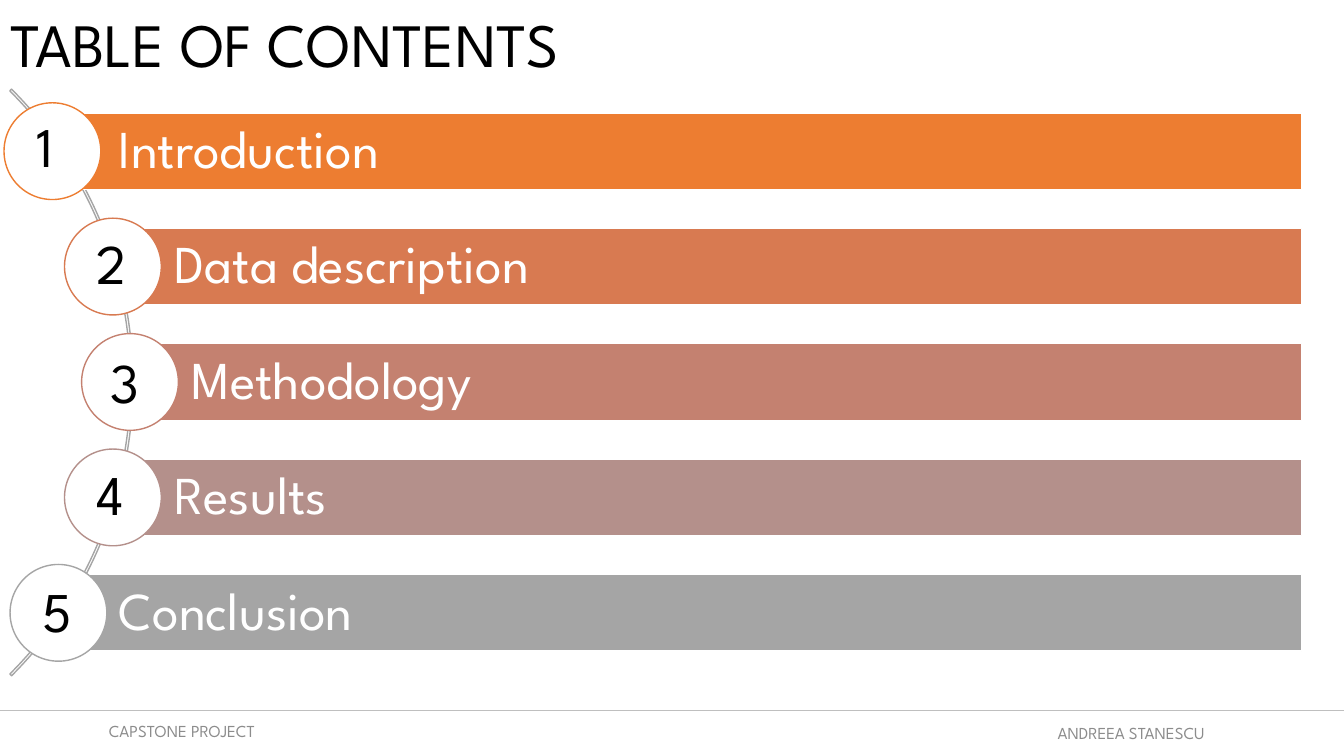
from lxml.etree import SubElement
from pptx import Presentation
from pptx.dml.color import RGBColor
from pptx.enum.shapes import MSO_CONNECTOR, MSO_SHAPE
from pptx.enum.text import MSO_ANCHOR, MSO_AUTO_SIZE, PP_ALIGN
from pptx.oxml.ns import qn
from pptx.util import Inches, Pt

FONT = "League Spartan"
COLORS = {"black": "000000", "white": "FFFFFF", "arc": "A5A5A5",
          "footer": "8C8C8C", "rule": "BFBFBF"}
TITLE = "TABLE OF CONTENTS"
# label, color, bar left, circle left, number box (left, top, width)
CHAPTERS = [
    ("Introduction", "ED7D31", 0.57, 0.04, (0.26, 1.06, 0.49)),
    ("Data description", "D87A51", 1.12, 0.64, (0.86, 2.22, 0.42)),
    ("Methodology", "C48170", 1.29, 0.81, (1.0, 3.4, 0.42)),
    ("Results", "B4908B", 1.12, 0.64, (0.86, 4.51, 0.42)),
    ("Conclusion", "A5A5A5", 0.57, 0.1, (0.32, 5.67, 0.42)),
]
FOOTERS = [("CAPSTONE PROJECT", (0.53, 7.05, 2.55, 0.4)),
           ("ANDREEA STANESCU", (9.44, 7.07, 3.56, 0.4))]
BAR_TOP, BAR_PITCH, BAR_HEIGHT, BAR_RIGHT = 1.12, 1.145, 0.76, 12.91
CIRCLE_SIZE = 0.96
NUMBER_HEIGHT = 0.77
FOOTER_RULE_TOP = 7.05


def inches(*lengths):
    return [Inches(length) for length in lengths]


def write(shape, text, size, color, align=PP_ALIGN.LEFT,
          anchor=MSO_ANCHOR.MIDDLE, line_spacing=None):
    frame = shape.text_frame
    frame.word_wrap = True
    frame.auto_size = MSO_AUTO_SIZE.NONE
    frame.vertical_anchor = anchor
    paragraph = frame.paragraphs[0]
    paragraph.alignment = align
    paragraph.line_spacing = line_spacing
    run = paragraph.add_run()
    run.text = text
    run.font.name = FONT
    run.font.size = Pt(size)
    run.font.color.rgb = RGBColor.from_string(color)


def add_outlined(slide, kind, box, line, fill=None):
    shape = slide.shapes.add_shape(kind, *inches(*box))
    shape.shadow.inherit = False
    if fill:
        shape.fill.solid()
        shape.fill.fore_color.rgb = RGBColor.from_string(fill)
    else:
        shape.fill.background()
    shape.line.color.rgb = RGBColor.from_string(line)
    shape.line.width = Pt(1)
    return shape


def add_chapter(slide, index, chapter):
    label, color, bar_left, circle_left, (left, top, width) = chapter
    bar_top = BAR_TOP + index * BAR_PITCH
    bar = add_outlined(slide, MSO_SHAPE.RECTANGLE,
                       (bar_left, bar_top, BAR_RIGHT - bar_left, BAR_HEIGHT),
                       COLORS["white"], color)
    frame = bar.text_frame
    frame.margin_left = Inches(0.61)
    frame.margin_top = frame.margin_right = frame.margin_bottom = Inches(0.11)
    write(bar, label, 38, COLORS["white"], line_spacing=0.9)

    circle_top = bar_top + (BAR_HEIGHT - CIRCLE_SIZE) / 2
    add_outlined(slide, MSO_SHAPE.OVAL,
                 (circle_left, circle_top, CIRCLE_SIZE, CIRCLE_SIZE),
                 color, COLORS["white"])
    number = slide.shapes.add_textbox(*inches(left, top, width, NUMBER_HEIGHT))
    write(number, str(index + 1), 40, COLORS["black"], anchor=MSO_ANCHOR.TOP)


def add_footer(slide):
    for text, box in FOOTERS:
        footer = slide.shapes.add_textbox(*inches(*box))
        write(footer, text, 12, COLORS["footer"], PP_ALIGN.CENTER)
    rule = slide.shapes.add_connector(
        MSO_CONNECTOR.STRAIGHT,
        *inches(0, FOOTER_RULE_TOP, 13.33, FOOTER_RULE_TOP))
    rule.line.color.rgb = RGBColor.from_string(COLORS["rule"])
    rule.line.width = Pt(0.5)
    SubElement(rule._element.spPr, qn("a:effectLst"))


def main():
    presentation = Presentation()
    presentation.slide_width, presentation.slide_height = inches(13.33, 7.5)
    slide = presentation.slides.add_slide(presentation.slide_layouts[5])

    title = slide.shapes.title
    title.left, title.top, title.width, title.height = inches(0, -0.02, 11.5, 0.98)
    write(title, TITLE, 44, COLORS["black"], line_spacing=0.9)

    arc = add_outlined(slide, MSO_SHAPE.BLOCK_ARC, (-6.91, -0.32, 8.23, 8.23),
                       COLORS["arc"])
    for index, value in enumerate((189, 27, 0.003)):
        arc.adjustments[index] = value

    for index, chapter in enumerate(CHAPTERS):
        add_chapter(slide, index, chapter)
    add_footer(slide)
    presentation.save("out.pptx")


if __name__ == "__main__":
    main()
